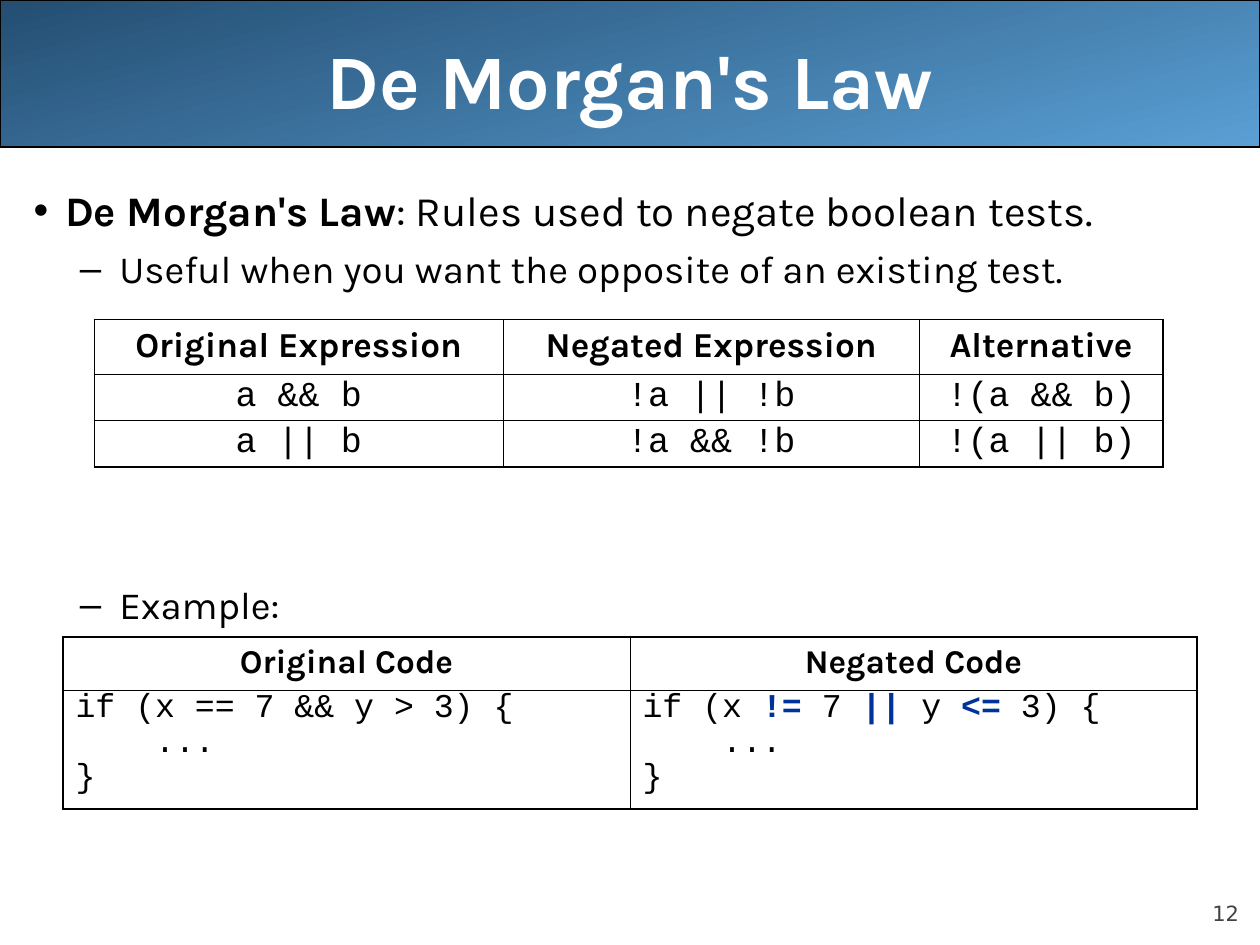
from lxml.etree import SubElement
from pptx import Presentation
from pptx.dml.color import RGBColor
from pptx.enum.shapes import MSO_SHAPE
from pptx.enum.text import MSO_ANCHOR, MSO_AUTO_SIZE, PP_ALIGN
from pptx.oxml import parse_xml
from pptx.oxml.ns import nsdecls, qn
from pptx.util import Pt

COLORS = {
    "black": "000000", "white": "FFFFFF", "operator": "003399",
    "banner_light": "5A9FD4", "banner_dark": "244E72", "number": "424242",
}


def style(font, name, size, color="black", bold=False):
    font.name, font.size, font.bold = name, Pt(size), bold
    font.color.rgb = RGBColor.from_string(COLORS[color])


def add_grid(left, top, widths, heights, rows, size, code_spacing, code_align):
    """Add a table with a bold header; each cell is a list of lines of runs."""
    table = slide.shapes.add_table(
        len(rows), len(widths), Pt(left), Pt(top), Pt(sum(widths)), Pt(sum(heights))
    ).table
    table.first_row = table.horz_banding = False
    for column, width in zip(table.columns, widths):
        column.width = Pt(width)
    last_row, last_column = len(rows) - 1, len(widths) - 1
    for i, row in enumerate(rows):
        table.rows[i].height = Pt(heights[i])
        for j, lines in enumerate(row):
            cell = table.cell(i, j)
            frame = cell.text_frame
            for k, runs in enumerate(lines):
                paragraph = frame.paragraphs[0] if k == 0 else frame.add_paragraph()
                paragraph.alignment = code_align if i else PP_ALIGN.CENTER
                style(paragraph.font, "Courier New" if i else "Karla", size, bold=i == 0)
                if i:
                    paragraph.line_spacing = code_spacing
                if k:
                    paragraph.space_before = Pt(4.8)
                for part in runs:
                    run = paragraph.add_run()
                    run.text = part
                    if part in ("!=", "||", "<="):
                        run.font.bold = True
                        run.font.color.rgb = RGBColor.from_string(COLORS["operator"])
            # Thick outer borders, thin inner ones
            cell.fill.background()
            outer = {"L": j == 0, "R": j == last_column, "T": i == 0, "B": i == last_row}
            for position, (side, thick) in enumerate(outer.items()):
                border = parse_xml(
                    f'<a:ln{side} {nsdecls("a")} w="{Pt(1.08 if thick else 0.45)}">'
                    f'<a:solidFill><a:srgbClr val="{COLORS["black"]}"/></a:solidFill>'
                    f"</a:ln{side}>"
                )
                cell._tc.get_or_add_tcPr().insert(position, border)


presentation = Presentation()
presentation.slide_width, presentation.slide_height = Pt(720), Pt(540)
slide = presentation.slides.add_slide(presentation.slide_layouts[1])

# Banner behind the title
banner = slide.shapes.add_shape(MSO_SHAPE.RECTANGLE, 0, 0, Pt(720), Pt(84))
banner.shadow.inherit = False
banner.fill.gradient()
banner.fill.gradient_angle = 105
for stop, name in zip(banner.fill.gradient_stops, ("banner_light", "banner_dark")):
    stop.color.rgb = RGBColor.from_string(COLORS[name])
banner.line.color.rgb = RGBColor.from_string(COLORS["black"])
banner.line.width = Pt(0.75)
slide.shapes._spTree.insert(2, banner._element)

# Title
title = slide.shapes.title
title.left, title.top, title.width, title.height = Pt(36), Pt(0), Pt(648), Pt(90)
title.text_frame.auto_size = MSO_AUTO_SIZE.NONE
title.text_frame.vertical_anchor = MSO_ANCHOR.MIDDLE
paragraph = title.text_frame.paragraphs[0]
paragraph.text = "De Morgan's Law"
paragraph.alignment = PP_ALIGN.CENTER
style(paragraph.font, "Karla", 44, "white", True)

# Bullets: runs, level, size, space before, margin, indent, bullet
body = slide.placeholders[1]
body.left, body.top, body.width, body.height = Pt(12), Pt(102), Pt(708), Pt(408)
frame = body.text_frame
frame.auto_size = MSO_AUTO_SIZE.NONE
bullets = [
    (["De Morgan's Law", ": Rules used to negate boolean tests."], 0, 24, 0, 18, -18, "•"),
    (["Useful when you want the opposite of an existing test."], 1, 22, 5.5, 49, -22.5, "–"),
    (["Example:"], 1, 22, 165.5, 49, -22.5, "–"),
]
for i, (runs, level, size, before, margin, indent, bullet) in enumerate(bullets):
    paragraph = frame.paragraphs[0] if i == 0 else frame.add_paragraph()
    properties = paragraph._p.get_or_add_pPr()
    properties.set("marL", str(Pt(margin)))
    properties.set("indent", str(Pt(indent)))
    bullet_color = SubElement(properties, qn("a:buClr"))
    SubElement(bullet_color, qn("a:srgbClr"), val=COLORS["black"])
    SubElement(properties, qn("a:buChar"), char=bullet)
    paragraph.level = level
    paragraph.space_before = Pt(before)
    style(paragraph.font, "Karla", size)
    for text in runs:
        paragraph.add_run().text = text
frame.paragraphs[0].runs[0].font.bold = True

# Table of laws
laws = [
    ("Original Expression", "Negated Expression", "Alternative"),
    ("a && b", "!a || !b", "!(a && b)"),
    ("a || b", "!a && !b", "!(a || b)"),
]
add_grid(54, 182.5, [233.5, 238, 139], [31.5, 26.5, 26.5],
         [[[[text]] for text in row] for row in laws], 20, 0.8, PP_ALIGN.CENTER)

# Table of example code
code_end = [["    ..."], ["}"]]
example = [
    [[["Original Code"]], [["Negated Code"]]],
    [
        [["if (x == 7 && y > 3) {"], *code_end],
        [["if (x ", "!=", " 7 ", "||", " y ", "<=", " 3) {"], *code_end],
    ],
]
add_grid(36, 364, [324, 324], [30.5, 68], example, 19, 0.7, PP_ALIGN.LEFT)

# Slide number
number = slide.shapes.add_textbox(Pt(648), Pt(500.5), Pt(60), Pt(28.5))
frame = number.text_frame
frame.word_wrap = True
frame.vertical_anchor = MSO_ANCHOR.BOTTOM
frame.margin_left = frame.margin_right = frame.margin_top = frame.margin_bottom = 0
paragraph = frame.paragraphs[0]
paragraph.text = "12"
paragraph.alignment = PP_ALIGN.RIGHT
style(paragraph.font, "DejaVu Sans", 12, "number")

presentation.save("out.pptx")
